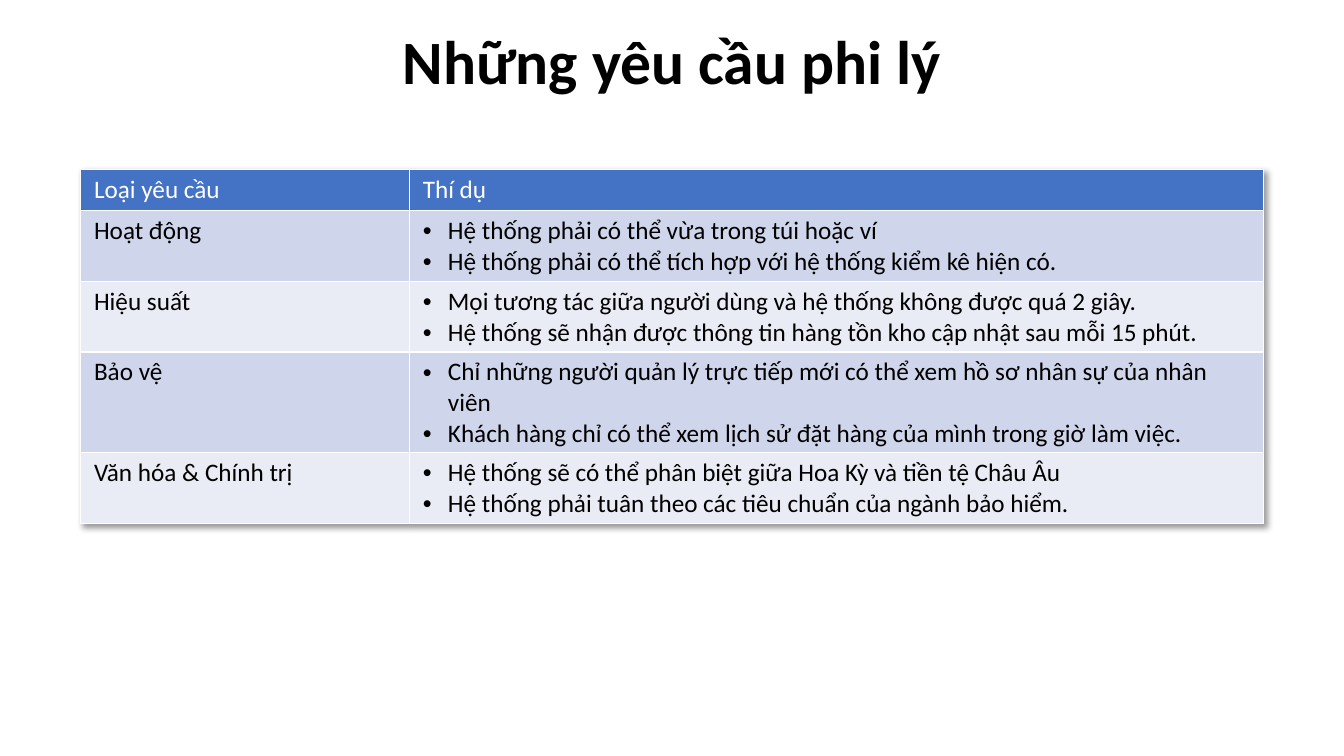
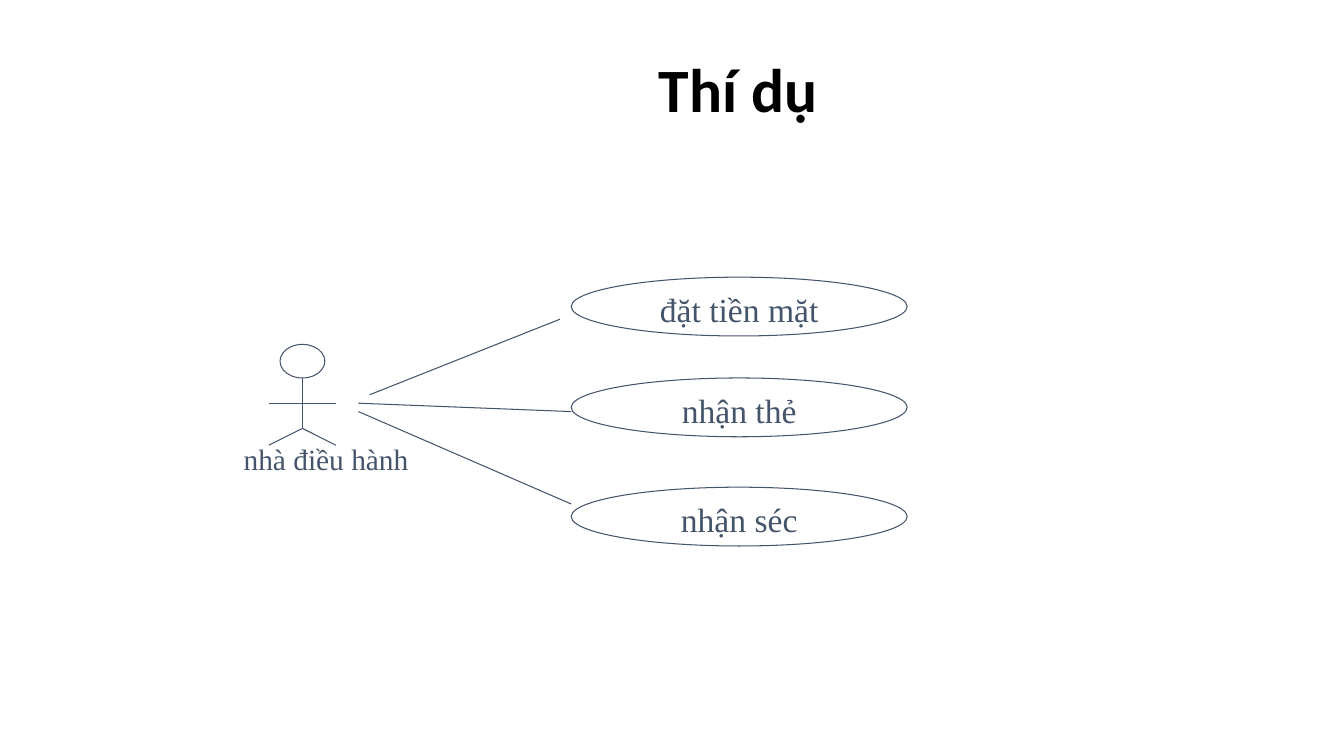
from typing import NamedTuple

from lxml import etree
from pptx import Presentation
from pptx.dml.color import RGBColor
from pptx.enum import shapes, text
from pptx.oxml import ns
from pptx.util import Pt

BLACK = RGBColor(0x00, 0x00, 0x00)
WHITE = RGBColor(0xFF, 0xFF, 0xFF)
SLATE = RGBColor(0x44, 0x54, 0x6A)
HEADER_BLUE = RGBColor(0x44, 0x72, 0xC4)
BANDS = (RGBColor(0xCF, 0xD5, 0xEA), RGBColor(0xE9, 0xEB, 0xF5))
SANS, SERIF = "Calibri", "Times New Roman"


class Box(NamedTuple):
    left: float
    top: float
    width: float
    height: float


class Line(NamedTuple):
    x1: float
    y1: float
    x2: float
    y2: float


class Requirement(NamedTuple):
    kind: str
    examples: tuple[str, ...]


class UseCase(NamedTuple):
    caption: str
    top: float


REQUIREMENTS = (
    Requirement("Hoạt động", (
        "Hệ thống phải có thể vừa trong túi hoặc ví",
        "Hệ thống phải có thể tích hợp với hệ thống kiểm kê hiện có.")),
    Requirement("Hiệu suất", (
        "Mọi tương tác giữa người dùng và hệ thống không được quá 2 giây.",
        "Hệ thống sẽ nhận được thông tin hàng tồn kho cập nhật sau mỗi 15 phút.")),
    Requirement("Bảo vệ", (
        "Chỉ những người quản lý trực tiếp mới có thể xem hồ sơ nhân sự của nhân viên",
        "Khách hàng chỉ có thể xem lịch sử đặt hàng của mình trong giờ làm việc.")),
    Requirement("Văn hóa & Chính trị", (
        "Hệ thống sẽ có thể phân biệt giữa Hoa Kỳ và tiền tệ Châu Âu",
        "Hệ thống phải tuân theo các tiêu chuẩn của ngành bảo hiểm.")),
)
USE_CASES = (
    UseCase("đặt tiền mặt", 198),
    UseCase("nhận thẻ", 270),
    UseCase("nhận séc", 348),
)
ASSOCIATIONS = (
    Line(264, 282, 400, 228),
    Line(256, 288, 408, 294),
    Line(256, 294, 408, 360),
)
ACTOR_HEAD = Box(200, 246, 32, 24)
ACTOR_LIMBS = (
    Line(216, 270, 216, 306),  # body
    Line(216, 306, 192, 318),  # left leg
    Line(216, 306, 240, 318),  # right leg
    Line(192, 288, 240, 288),  # arms
)


def sub(parent, tag: str, **attributes):
    """Append a DrawingML element."""
    return etree.SubElement(parent, ns.qn(tag), {k: str(v) for k, v in attributes.items()})


def place(box: Box) -> list[Pt]:
    return [Pt(length) for length in box]


def style(font, name: str, size: float, color: RGBColor, bold: bool = False) -> None:
    font.name, font.size, font.bold = name, Pt(size), bold
    font.color.rgb = color


def add_title(slide, caption: str, box: Box) -> None:
    frame = slide.shapes.add_textbox(*place(box)).text_frame
    frame.word_wrap = True
    frame.vertical_anchor = text.MSO_ANCHOR.MIDDLE
    frame.text = caption
    heading = frame.paragraphs[0]
    heading.alignment = text.PP_ALIGN.CENTER
    heading.line_spacing = 0.9
    style(heading.runs[0].font, SANS, 44, BLACK, bold=True)


# Table parts
def fill_cell(cell, lines: tuple[str, ...], fill: RGBColor, color: RGBColor,
              bulleted: bool = False) -> None:
    cell.margin_left = cell.margin_right = Pt(9.6)
    cell.margin_top = cell.margin_bottom = Pt(3.6)
    cell.text_frame.text = "\n".join(lines)
    for paragraph in cell.text_frame.paragraphs:
        if bulleted:
            properties = paragraph._p.get_or_add_pPr()
            properties.set("marL", str(Pt(18)))
            properties.set("indent", str(-Pt(18)))
            sub(properties, "a:buFont", typeface="Arial")
            sub(properties, "a:buChar", char="•")
        style(paragraph.runs[0].font, SANS, 18, color)
    # Borders come before the fill in the cell properties
    properties = cell._tc.get_or_add_tcPr()
    for side in ("a:lnL", "a:lnR", "a:lnT", "a:lnB"):
        border = sub(properties, side, w=Pt(1))
        sub(sub(border, "a:solidFill"), "a:srgbClr", val=WHITE)
    cell.fill.solid()
    cell.fill.fore_color.rgb = fill


def add_table_shadow(table) -> None:
    effects = etree.Element(ns.qn("a:effectLst"))
    shadow = sub(effects, "a:outerShdw", blurRad=Pt(4), dist=Pt(3), dir=2700000,
                 algn="tl", rotWithShape=0)
    sub(sub(shadow, "a:srgbClr", val=BLACK), "a:alpha", val=40000)
    table._tbl.tblPr.insert(0, effects)


def add_requirements(slide) -> None:
    row_height = 29.52
    rows = len(REQUIREMENTS) + 1
    table = slide.shapes.add_table(
        rows, 2, *place(Box(57.6, 121, 844.8, rows * row_height))).table
    for column, width in zip(table.columns, (234.8, 610)):
        column.width = Pt(width)
    for col, heading in enumerate(("Loại yêu cầu", "Thí dụ")):
        fill_cell(table.cell(0, col), (heading,), HEADER_BLUE, WHITE)
    for row, requirement in enumerate(REQUIREMENTS, start=1):
        band = BANDS[(row - 1) % 2]
        fill_cell(table.cell(row, 0), (requirement.kind,), band, BLACK)
        fill_cell(table.cell(row, 1), requirement.examples, band, BLACK, bulleted=True)
    add_table_shadow(table)


# Use case diagram parts
def add_line(parent, line: Line) -> None:
    connector = parent.add_connector(shapes.MSO_CONNECTOR.STRAIGHT, *(Pt(v) for v in line))
    connector.line.color.rgb = SLATE
    connector.line.width = Pt(0.75)
    sub(connector._element.spPr, "a:effectLst")


def add_ellipse(parent, box: Box):
    ellipse = parent.add_shape(shapes.MSO_SHAPE.OVAL, *place(box))
    ellipse.shadow.inherit = False
    ellipse.fill.background()
    ellipse.line.color.rgb = SLATE
    ellipse.line.width = Pt(0.75)
    return ellipse


def add_actor(slide) -> None:
    figure = slide.shapes.add_group_shape().shapes
    add_ellipse(figure, ACTOR_HEAD)
    for limb in ACTOR_LIMBS:
        add_line(figure, limb)
    frame = slide.shapes.add_textbox(*place(Box(168, 312, 131, 31.7))).text_frame
    frame.margin_left = frame.margin_right = Pt(6)
    frame.margin_top = frame.margin_bottom = Pt(3)
    frame.word_wrap = False
    frame.auto_size = text.MSO_AUTO_SIZE.SHAPE_TO_FIT_TEXT
    frame.text = "nhà điều hành"
    style(frame.paragraphs[0].runs[0].font, SERIF, 21, SLATE)


def add_use_case(slide, case: UseCase) -> None:
    frame = add_ellipse(slide.shapes, Box(408, case.top, 240, 42)).text_frame
    frame.margin_left = frame.margin_right = frame.margin_bottom = 0
    frame.margin_top = Pt(3.6)
    frame.word_wrap = False
    frame.vertical_anchor = text.MSO_ANCHOR.MIDDLE
    frame.text = case.caption
    caption = frame.paragraphs[0]
    caption.alignment = text.PP_ALIGN.CENTER
    style(caption.runs[0].font, SERIF, 24, SLATE)


def main() -> None:
    deck = Presentation()
    deck.slide_width, deck.slide_height = Pt(960), Pt(540)
    blank = deck.slide_layouts[6]

    # Requirements table
    requirements = deck.slides.add_slide(blank)
    add_title(requirements, "Những yêu cầu phi lý", Box(57.6, 8.6, 844.8, 75.6))
    add_requirements(requirements)

    # Use case example
    example = deck.slides.add_slide(blank)
    add_title(example, "Thí dụ", Box(160.6, 28.8, 733, 74.9))
    add_actor(example)
    for association in ASSOCIATIONS:
        add_line(example.shapes, association)
    for case in USE_CASES:
        add_use_case(example, case)

    deck.save("out.pptx")


if __name__ == "__main__":
    main()
